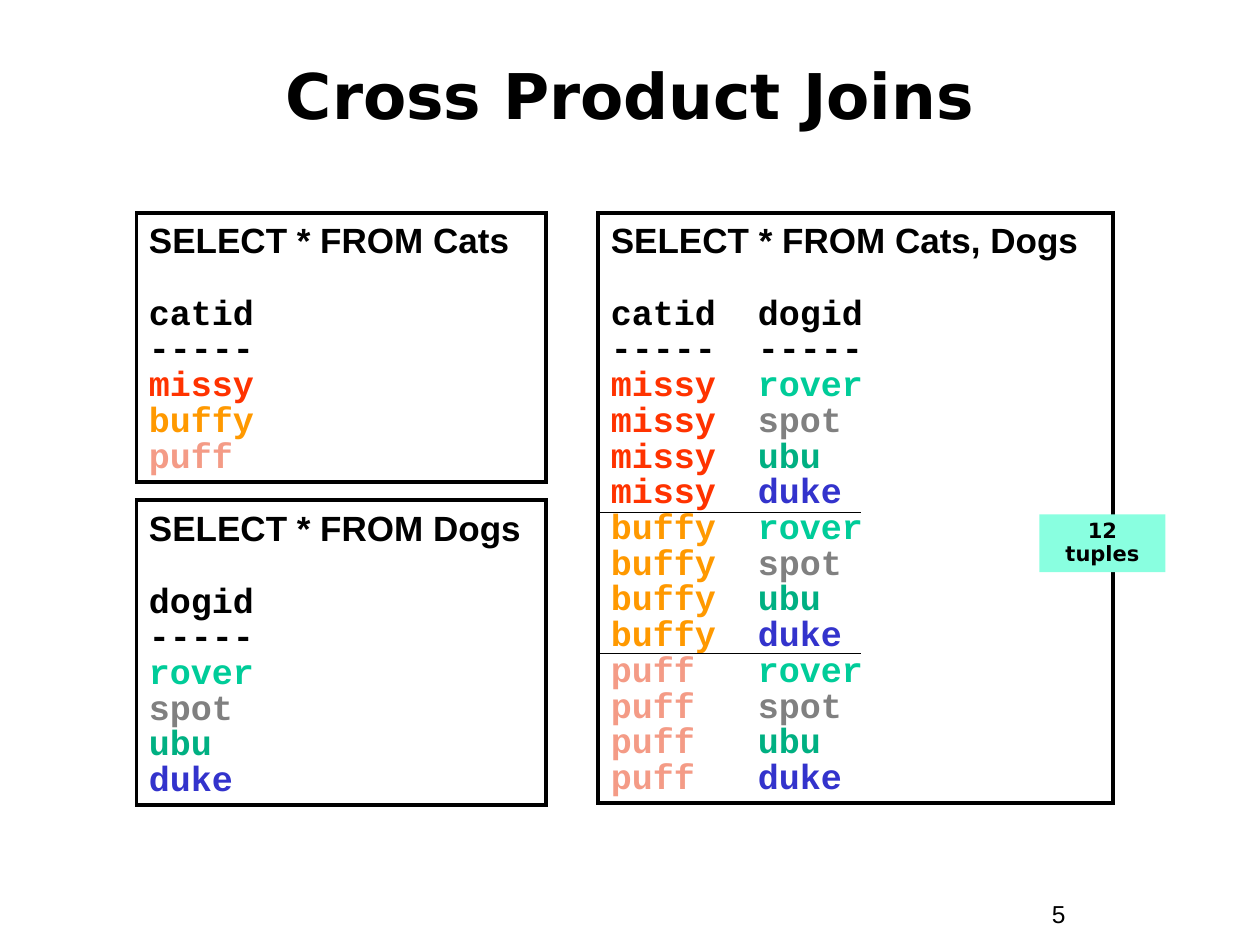
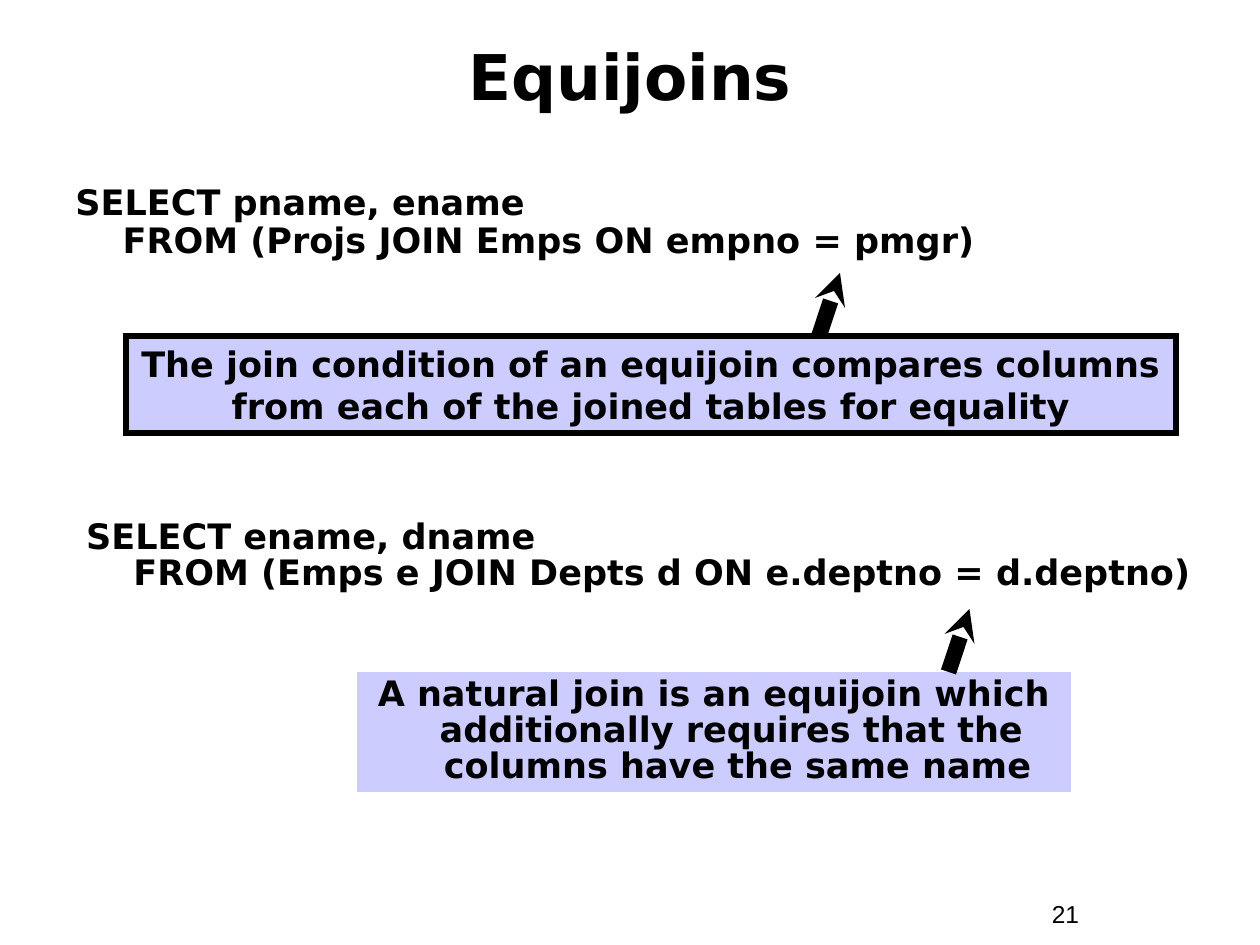
from dataclasses import dataclass
from itertools import product

from lxml import etree
from pptx import Presentation
from pptx.dml.color import RGBColor
from pptx.enum.shapes import MSO_CONNECTOR, MSO_SHAPE
from pptx.enum.text import MSO_ANCHOR, MSO_AUTO_SIZE, PP_ALIGN
from pptx.oxml.ns import qn
from pptx.util import Pt

LEFT, CENTER = PP_ALIGN.LEFT, PP_ALIGN.CENTER
TOP, MIDDLE = MSO_ANCHOR.TOP, MSO_ANCHOR.MIDDLE
NO_AUTOFIT = MSO_AUTO_SIZE.NONE
RECT, STRAIGHT = MSO_SHAPE.RECTANGLE, MSO_CONNECTOR.STRAIGHT

# Shared style
SANS, ARIAL, MONO = "DejaVu Sans", "Arial", "Courier New"
BLACK, LAVENDER, MINT = "000000", "CCCCFF", "89FFE0"
TITLE_ONLY, TITLE_AND_BODY = 5, 1
TIGHT = 0.85
HANGING = 27
COLUMN_WIDTH = 84
HEADER_GAP = 20.5
VALUE_COLORS = {
    "missy": "FF3300", "buffy": "FF9900", "puff": "F49B86",
    "rover": "00CC99", "spot": "808080", "ubu": "00B082", "duke": "3333CC",
}
CATS = ["missy", "buffy", "puff"]
DOGS = ["rover", "spot", "ubu", "duke"]


@dataclass
class Box:
    left: float
    top: float
    width: float
    height: float

    def lengths(self) -> tuple:
        return Pt(self.left), Pt(self.top), Pt(self.width), Pt(self.height)


@dataclass
class Style:
    size: float = 20
    font: str = SANS
    bold: bool = True
    align: PP_ALIGN = LEFT
    spacing: float = 1.0
    hanging: bool = False


@dataclass
class QueryResult:
    box: Box
    query: str
    columns: list
    rows: list


@dataclass
class Callout:
    box: Box
    text: str
    style: Style
    fill: str
    border: float = 0


@dataclass
class Line:
    x1: float
    y1: float
    x2: float
    y2: float
    weight: float
    arrow: bool = False


def rgb(color: str) -> RGBColor:
    return RGBColor.from_string(color)


# Text helpers
def format_run(r, style: Style, color: str = BLACK) -> None:
    r.font.size = Pt(style.size)
    r.font.name = style.font
    r.font.bold = style.bold
    r.font.color.rgb = rgb(color)


def prepare_frame(tf, anchor=TOP) -> None:
    tf.word_wrap = True
    tf.auto_size = NO_AUTOFIT
    tf.vertical_anchor = anchor


def write(tf, text: str, style: Style, anchor=TOP) -> None:
    """Fill the frame with one paragraph; a vertical tab breaks the line."""
    prepare_frame(tf, anchor)
    p = tf.paragraphs[0]
    p.text = text
    p.alignment = style.align
    p.line_spacing = style.spacing
    p.space_before = Pt(0)
    pPr = p._p.get_or_add_pPr()
    indent = Pt(HANGING) if style.hanging else 0
    pPr.set("marL", str(indent))
    pPr.set("indent", str(-indent))
    etree.SubElement(pPr, qn("a:buNone"))
    for r in p.runs:
        format_run(r, style)


# Shape helpers
def place(sp, box: Box) -> None:
    sp.left, sp.top, sp.width, sp.height = box.lengths()


def add_rect(slide, box: Box, fill: str = "", border: float = 0):
    sp = slide.shapes.add_shape(RECT, *box.lengths())
    sp.shadow.inherit = False
    if fill:
        sp.fill.solid()
        sp.fill.fore_color.rgb = rgb(fill)
    else:
        sp.fill.background()
    if border:
        sp.line.color.rgb = rgb(BLACK)
        sp.line.width = Pt(border)
        etree.SubElement(sp.line._get_or_add_ln(), qn("a:miter"), lim="800000")
    else:
        sp.line.fill.background()
    return sp


def add_callout(slide, callout: Callout) -> None:
    sp = add_rect(slide, callout.box, callout.fill, callout.border)
    write(sp.text_frame, callout.text, callout.style)


def add_line(slide, line: Line) -> None:
    cn = slide.shapes.add_connector(
        STRAIGHT, Pt(line.x1), Pt(line.y1), Pt(line.x2), Pt(line.y2))
    cn.line.color.rgb = rgb(BLACK)
    cn.line.width = Pt(line.weight)
    if line.arrow:
        etree.SubElement(cn.line._get_or_add_ln(), qn("a:tailEnd"),
                         type="stealth", w="sm", len="sm")
    etree.SubElement(cn._element.spPr, qn("a:effectLst"))


def add_text(slide, box: Box, text: str, style: Style) -> None:
    sp = slide.shapes.add_textbox(*box.lengths())
    write(sp.text_frame, text, style)


def add_query_result(slide, result: QueryResult) -> None:
    tf = add_rect(slide, result.box, border=2.25).text_frame
    write(tf, result.query, Style(font=ARIAL))
    mono = Style(font=MONO)
    rules = ["-" * len(name) for name in result.columns]
    for i, row in enumerate([result.columns, rules, *result.rows]):
        p = tf.add_paragraph()
        p.alignment = LEFT
        p.line_spacing = TIGHT
        p.space_before = Pt(0 if i else HEADER_GAP)
        tabs = etree.SubElement(p._p.get_or_add_pPr(), qn("a:tabLst"))
        etree.SubElement(tabs, qn("a:tab"), pos=str(Pt(COLUMN_WIDTH)), algn="l")
        for column, value in enumerate(row):
            r = p.add_run()
            r.text = "\t" + value if column else value
            format_run(r, mono, VALUE_COLORS.get(value, BLACK))


def add_slide(prs, layout: int, title: str, title_box: Box, number: int):
    slide = prs.slides.add_slide(prs.slide_layouts[layout])
    place(slide.shapes.title, title_box)
    write(slide.shapes.title.text_frame, title, Style(36, align=CENTER), MIDDLE)
    add_text(slide, Box(594, 510, 66, 24), str(number), Style(14, ARIAL, False))
    return slide


# Slides
def build_cross_product(prs) -> None:
    slide = add_slide(prs, TITLE_ONLY, "Cross Product Joins", Box(24, 24, 672, 60), 5)
    results = [
        QueryResult(Box(78, 121.5, 234, 154), "SELECT * FROM Cats",
                    ["catid"], [[cat] for cat in CATS]),
        QueryResult(Box(78, 286, 234, 174), "SELECT * FROM Dogs",
                    ["dogid"], [[dog] for dog in DOGS]),
        QueryResult(Box(342, 121.5, 294, 337.5), "SELECT * FROM Cats, Dogs",
                    ["catid", "dogid"], list(product(CATS, DOGS))),
    ]
    for result in results:
        add_query_result(slide, result)

    # Separators between the groups of one cat
    for group in range(len(CATS) - 1):
        y = 292.5 + 81 * group
        add_line(slide, Line(342, y, 492, y, 0.25))
    add_callout(slide, Callout(Box(594, 294, 72, 33), "12\vtuples",
                               Style(12, align=CENTER, spacing=0.9), MINT))


def build_equijoins(prs) -> None:
    slide = add_slide(prs, TITLE_AND_BODY, "Equijoins", Box(24, 16, 672, 54), 21)
    body = slide.placeholders[1]
    place(body, Box(42, 294, 654, 72))
    write(body.text_frame,
          "SELECT ename, dname\vFROM (Emps e JOIN Depts d ON e.deptno = d.deptno)",
          Style(spacing=TIGHT, hanging=True))
    add_text(slide, Box(36, 102.5, 612, 50),
             "SELECT pname, ename\vFROM (Projs JOIN Emps ON empno = pmgr)",
             Style(spacing=0.9, hanging=True))

    callouts = [
        Callout(Box(72, 192, 600, 55.5),
                "The join condition of an equijoin compares columns "
                "from each of the joined tables for equality",
                Style(align=CENTER), LAVENDER, 3),
        Callout(Box(204, 384, 408, 68.5),
                "A natural join is an equijoin which\v"
                "additionally requires that the \vcolumns have the same name",
                Style(align=CENTER, spacing=TIGHT, hanging=True), LAVENDER),
    ]
    for callout in callouts:
        add_callout(slide, callout)

    # Arrows from the callouts up to the join conditions
    for x, y in [(468, 192), (542, 384)]:
        add_line(slide, Line(x, y, x + 12, y - 36, 9, arrow=True))


def main() -> None:
    prs = Presentation()
    prs.slide_width, prs.slide_height = Pt(720), Pt(540)
    build_cross_product(prs)
    build_equijoins(prs)
    prs.save("out.pptx")


if __name__ == "__main__":
    main()
